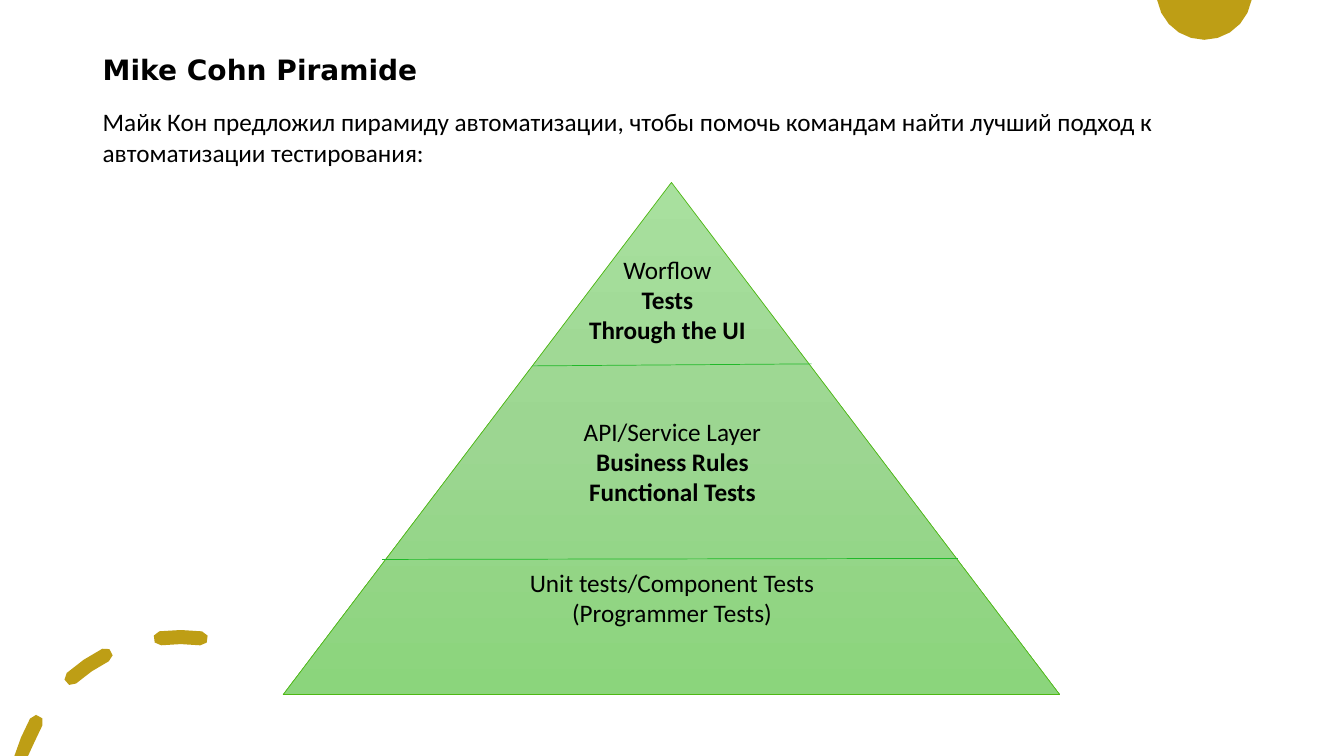
from copy import deepcopy
from math import cos, radians, sin

from lxml.etree import SubElement
from pptx import Presentation
from pptx.dml.color import RGBColor
from pptx.enum.shapes import MSO_CONNECTOR, MSO_SHAPE
from pptx.enum.text import MSO_ANCHOR, MSO_AUTO_SIZE, PP_ALIGN
from pptx.oxml.ns import qn
from pptx.util import Pt

PX = 9144
WIDTH, HEIGHT = 1333, 750
COLORS = {
    "gold": "BE9E15",
    "text": "000000",
    "edge": "4EB814",
    "divider": "21B92A",
    "top": "A8E09E",
    "middle": "9CD691",
    "bottom": "8BD57C",
}


def rgb(name):
    return RGBColor.from_string(COLORS[name])


def arc(cx, cy, radius, start, end, steps):
    angles = [radians(start + (end - start) * i / steps) for i in range(steps + 1)]
    return [(cx + radius * cos(a), cy + radius * sin(a)) for a in angles]


def dash(cx, cy, radius, half, start, end):
    head, tail = arc(cx, cy, radius, start, end, 1)
    return (
        arc(cx, cy, radius + half, start, end, 2)
        + arc(*tail, half, end, end + 180, 3)[1:-1]
        + arc(cx, cy, radius - half, end, start, 2)
        + arc(*head, half, start + 180, start + 360, 3)[1:-1]
    )


class SlideBuilder:
    def __init__(self, slide, font="Calibri", size=18):
        self.shapes = slide.shapes
        self.font = font
        self.size = size

    def outline(self, contours, color):
        clipped = [
            [(round(x * PX), round(min(max(y, 0), HEIGHT) * PX)) for x, y in contour]
            for contour in contours
        ]
        fb = self.shapes.build_freeform(*clipped[0][0], scale=1.0)
        for i, points in enumerate(clipped):
            if i:
                fb.move_to(*points[0])
            fb.add_line_segments(points[1:], close=True)
        sp = fb.convert_to_shape()
        sp.shadow.inherit = False
        sp.fill.solid()
        sp.fill.fore_color.rgb = rgb(color)
        sp.line.fill.background()

    def pyramid(self, x, y, w, h, stops, edge):
        sp = self.shapes.add_shape(
            MSO_SHAPE.ISOSCELES_TRIANGLE, x * PX, y * PX, w * PX, h * PX
        )
        sp.shadow.inherit = False
        sp.fill.gradient()
        sp.fill.gradient_angle = 270
        gs_list = sp._element.spPr.find(".//" + qn("a:gsLst"))
        gs_list.insert(1, deepcopy(gs_list[0]))
        for i, (gs, color) in enumerate(zip(sp.fill.gradient_stops, stops)):
            gs.position = i / (len(stops) - 1)
            gs.color.rgb = rgb(color)
        sp.line.color.rgb = rgb(edge)
        sp.line.width = Pt(0.5)

    def line(self, x1, y1, x2, y2, color):
        cxn = self.shapes.add_connector(
            MSO_CONNECTOR.STRAIGHT, x1 * PX, y1 * PX, x2 * PX, y2 * PX
        )
        cxn.line.color.rgb = rgb(color)
        cxn.line.width = Pt(0.5)
        SubElement(cxn._element.spPr, qn("a:effectLst"))

    def text(self, x, y, w, h, lines, align=PP_ALIGN.CENTER, anchor=MSO_ANCHOR.TOP,
             font=None, size=None, spacing=None):
        tf = self.shapes.add_textbox(x * PX, y * PX, w * PX, h * PX).text_frame
        tf.word_wrap = True
        tf.auto_size = MSO_AUTO_SIZE.NONE
        tf.vertical_anchor = anchor
        for i, (words, bold) in enumerate(lines):
            p = tf.add_paragraph() if i else tf.paragraphs[0]
            p.alignment = align
            p.line_spacing = spacing
            r = p.add_run()
            r.text = words
            r.font.name = font or self.font
            r.font.size = Pt(size or self.size)
            r.font.bold = bold
            r.font.color.rgb = rgb("text")


def main():
    prs = Presentation()
    prs.slide_width, prs.slide_height = WIDTH * PX, HEIGHT * PX
    s = SlideBuilder(prs.slides.add_slide(prs.slide_layouts[6]))

    s.outline([arc(1194.5, -8, 47.5, 9.7, 170.3, 10)], "gold")
    dash_angles = [(195, 209), (228.6, 243), (263, 277.2)]
    s.outline([dash(179, 795.5, 163.5, 7, a, b) for a, b in dash_angles], "gold")

    s.text(92, 40, 1139, 61, [("Mike Cohn Piramide", True)], PP_ALIGN.LEFT,
           MSO_ANCHOR.MIDDLE, "DejaVu Sans", 20, 0.9)
    s.text(92, 101, 1150, 71, [(
        "Майк Кон предложил пирамиду автоматизации, чтобы помочь командам "
        "найти лучший подход к автоматизации тестирования:", False)], PP_ALIGN.LEFT)

    s.pyramid(281, 181, 770, 508, ["top", "middle", "bottom"], "edge")
    s.line(528, 363, 805, 361, "divider")
    s.line(379, 555, 950, 554, "divider")

    s.text(479, 558, 375, 131, [
        ("Unit tests/Component Tests", False), ("(Programmer Tests)", False)])
    s.text(501, 408, 332, 101, [
        ("API/Service Layer", False), ("Business Rules", True),
        ("Functional Tests", True)])
    s.text(547, 247, 230, 101, [
        ("Worflow", False), ("Tests", True), ("Through the UI", True)])

    prs.save("out.pptx")


if __name__ == "__main__":
    main()
